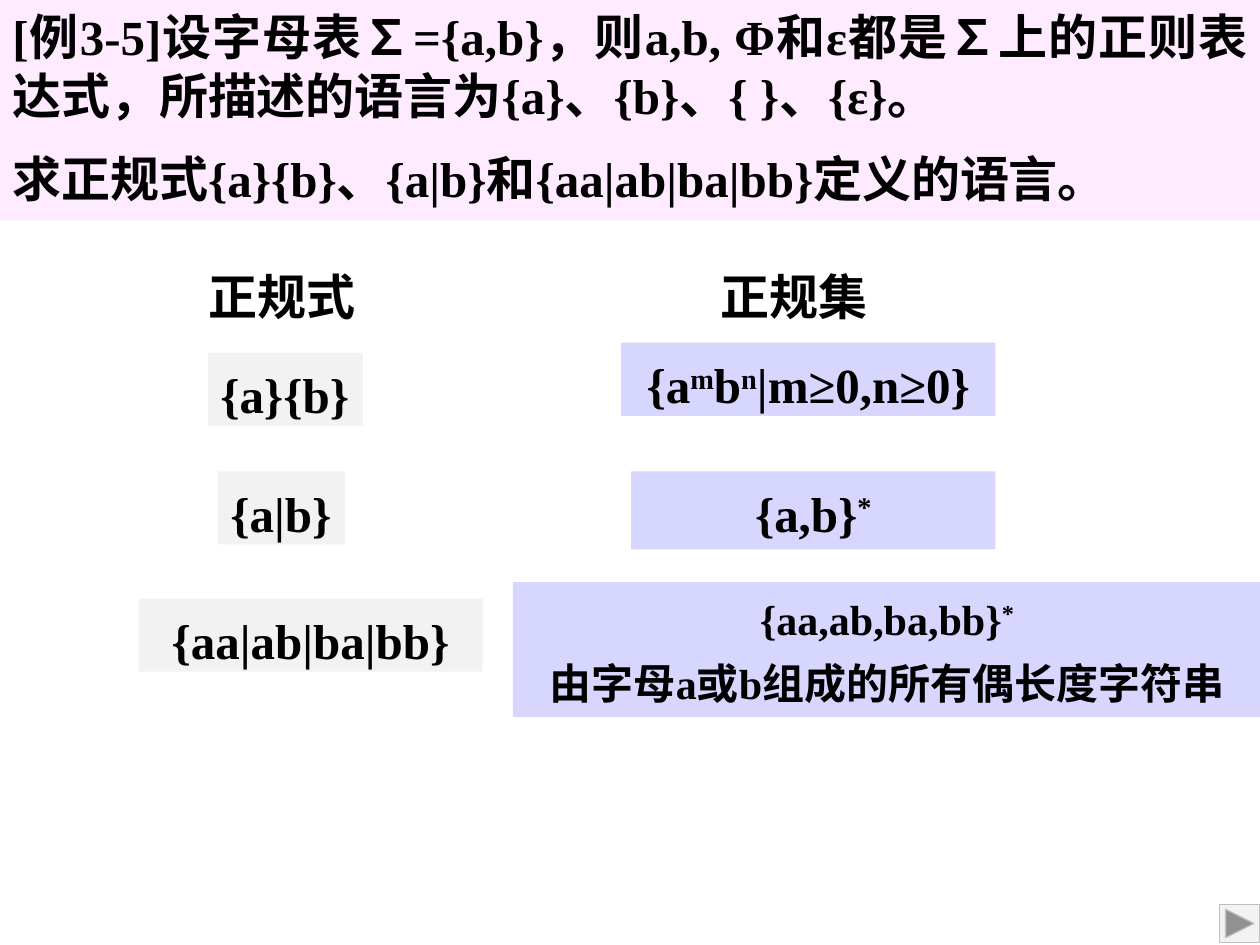
from pptx import Presentation
from pptx.dml.color import RGBColor
from pptx.enum.shapes import MSO_SHAPE as Preset
from pptx.enum.text import MSO_AUTO_SIZE as AutoSize, MSO_ANCHOR as Anchor, PP_ALIGN as Align
from pptx.util import Inches, Pt
from lxml.etree import SubElement
from pptx.oxml.ns import qn

COLUMNS, ROWS = 100, 75
SERIF, SANS = "Times New Roman", "Noto Sans CJK SC"
LILAC, LAVENDER, GREY = "FFEBFF", "D6D6FF", "F2F2F2"


def color(value):
    return RGBColor.from_string(value)


class ExampleSlide:
    """Draws on one slide; places are (column, row, columns, rows) of the grid."""

    def __init__(self, presentation):
        self.slide = presentation.slides.add_slide(presentation.slide_layouts[6])
        self.column = presentation.slide_width / COLUMNS
        self.row = presentation.slide_height / ROWS

    def place(self, left, top, width, height):
        return (round(left * self.column), round(top * self.row),
                round(width * self.column), round(height * self.row))

    def shape(self, at, fill, preset=Preset.RECTANGLE, line=None):
        shape = self.slide.shapes.add_shape(preset, *self.place(*at))
        shape.shadow.inherit = False
        shape.fill.solid()
        shape.fill.fore_color.rgb = color(fill)
        if line:
            shape.line.color.rgb = color(line)
            shape.line.width = Pt(0.75)
        else:
            shape.line.fill.background()
        return shape

    def box(self, at, fill, paragraphs, **style):
        self.add_text(self.shape(at, fill), paragraphs, **style)

    def heading(self, at, text):
        box = self.slide.shapes.add_textbox(*self.place(*at))
        self.add_text(box, [[text]], font=SANS)

    def add_text(self, shape, paragraphs, size=28, font=SERIF, align=Align.CENTER,
                 spacing=1.1, gap=0.2, wrap=True):
        """Fill in paragraphs of runs; every second run is a superscript."""
        frame = shape.text_frame
        frame.word_wrap = wrap
        frame.auto_size = AutoSize.SHAPE_TO_FIT_TEXT
        frame.vertical_anchor = Anchor.TOP
        for index, texts in enumerate(paragraphs):
            paragraph = frame.add_paragraph() if index else frame.paragraphs[0]
            paragraph.alignment = align
            paragraph.line_spacing = spacing
            paragraph.space_before = Pt(size * gap if index else 0)
            for position, text in enumerate(texts):
                self.add_run(paragraph, text, size, font, raised=position % 2 == 1)

    def add_run(self, paragraph, text, size, font, raised):
        run = paragraph.add_run()
        run.text = text
        run.font.size = Pt(size)
        run.font.name = font
        run.font.bold = True
        run.font.color.rgb = color("000000")
        properties = run._r.get_or_add_rPr()
        SubElement(properties, qn("a:ea")).set("typeface", SANS)
        if raised:
            properties.set("baseline", "30000")


def main():
    presentation = Presentation()
    presentation.slide_width, presentation.slide_height = Inches(10), Inches(7.5)
    example = ExampleSlide(presentation)

    example.box((0, 0, 100, 17.5), LILAC, [
        ["[例3-5]设字母表∑={a,b}，则a,b, Φ和ε都是∑上的正则表达式，"
         "所描述的语言为{a}、{b}、{ }、{ε}。"],
        ["求正规式{a}{b}、{a|b}和{aa|ab|ba|bb}定义的语言。"],
    ], align=Align.JUSTIFY, spacing=1.0, gap=0.5)

    example.box((49.3, 27.2, 29.7, 5.8), LAVENDER,
                [["{a", "m", "b", "n", "|m≥0,n≥0}"]])
    example.box((50.1, 37.4, 28.9, 6.2), LAVENDER, [["{a,b}", "*"]])
    example.box((40.7, 46.2, 59.4, 10.7), LAVENDER, [
        ["{aa,ab,ba,bb}", "*"],
        ["由字母a或b组成的所有偶长度字符串"],
    ], size=24)

    example.box((16.5, 28, 12.3, 5.8), GREY, [["{a}{b}"]], align=Align.LEFT, wrap=False)
    example.box((17.3, 37.4, 10.1, 5.8), GREY, [["{a|b}"]], align=Align.LEFT, wrap=False)
    example.box((11, 47.5, 27.3, 5.8), GREY, [["{aa|ab|ba|bb}"]])

    for left, text in ((13.4, "正规式"), (54, "正规集")):
        example.heading((left, 20.2, 18, 5.6), text)

    example.shape((96.8, 71.8, 3.2, 3), GREY,
                  Preset.ACTION_BUTTON_FORWARD_OR_NEXT, line="BFBFBF")
    presentation.save("out.pptx")


if __name__ == "__main__":
    main()
